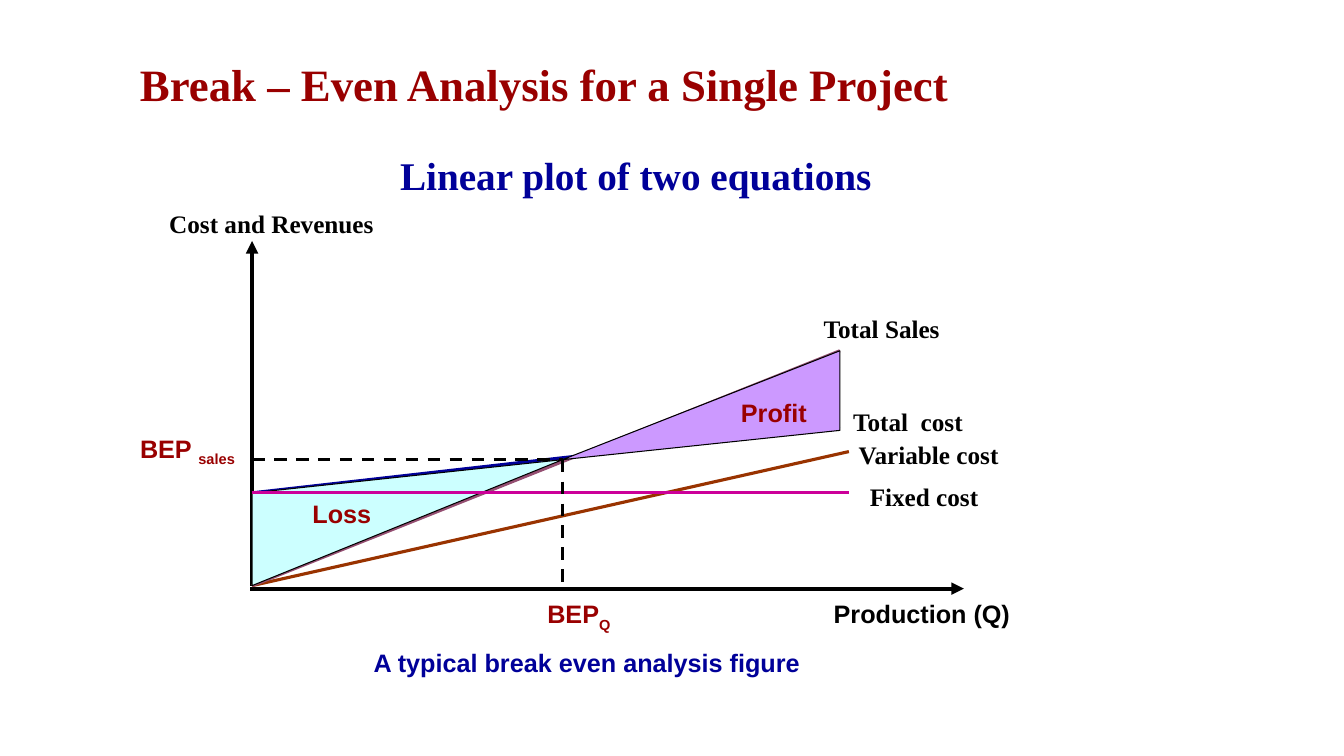
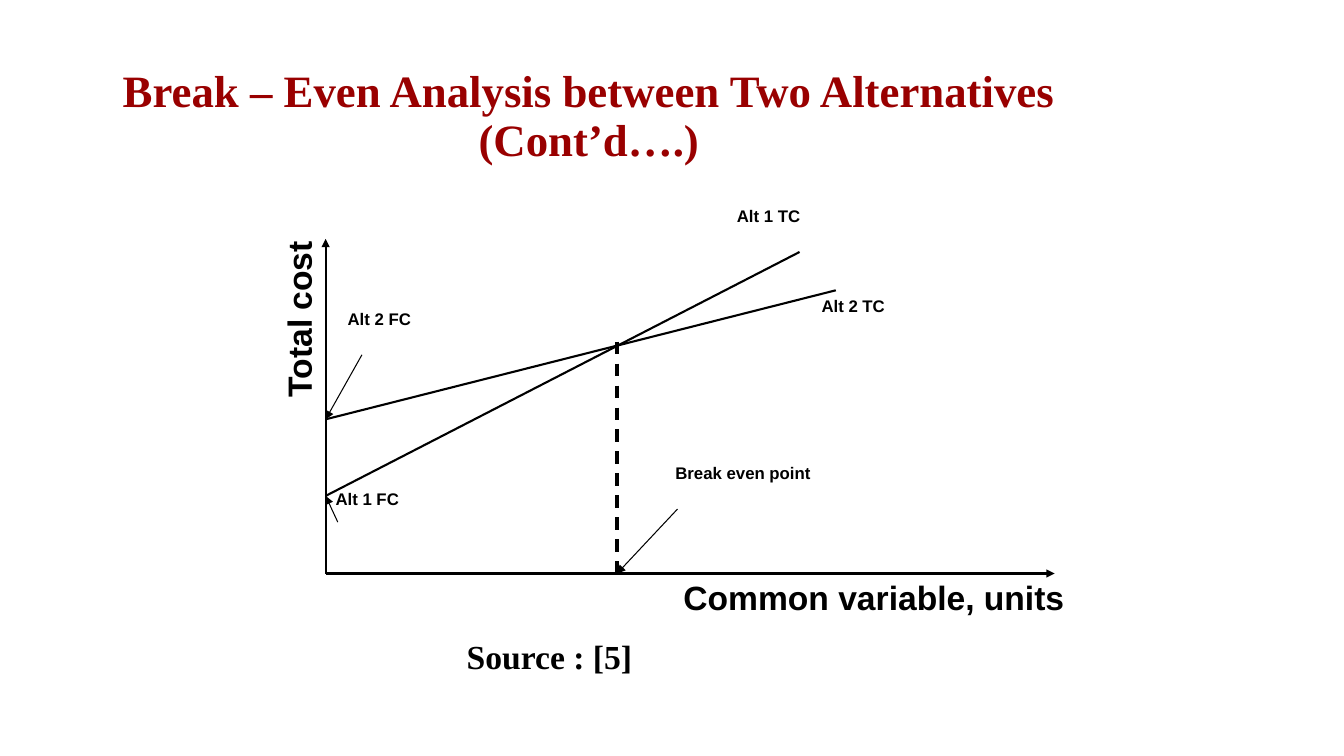
from lxml.etree import SubElement
from pptx import Presentation
from pptx.dml.color import RGBColor as Rgb
from pptx.enum.dml import MSO_LINE_DASH_STYLE as Dash
from pptx.enum.shapes import MSO_CONNECTOR as Link
from pptx.enum.text import MSO_ANCHOR as Anchor, PP_ALIGN as Align
from pptx.oxml.ns import qn
from pptx.util import Inches, Pt

COLORS = {
    "black": "000000", "red": "990000", "navy": "000099",
    "brown": "993300", "plum": "954F72", "pink": "CC0099",
    "aqua": "CCFFFF", "lilac": "CC99FF",
}
SERIF, SANS = "Times New Roman", "Arial"


def color(name):
    return Rgb.from_string(COLORS[name])


class Deck:
    def __init__(self):
        self.show = Presentation()
        self.show.slide_width = Inches(13.33)
        self.show.slide_height = Inches(7.5)

    def page(self):
        self.slide = self.show.slides.add_slide(self.show.slide_layouts[6])

    def text(self, words, left, top, width, size=18, face=SANS, ink="black",
             align=Align.LEFT, sub="", turn=0, height=None):
        """Add bold text, with an optional subscript; height follows size."""
        height = height or size / 60 + 0.1
        box = self.slide.shapes.add_textbox(
            Inches(left), Inches(top), Inches(width), Inches(height))
        box.rotation = turn
        frame = box.text_frame
        frame.word_wrap = True
        par = frame.paragraphs[0]
        par.alignment = align
        look = {"name": face, "size": Pt(size), "bold": True}
        for part in filter(None, (words, sub)):
            run = par.add_run()
            run.text = part
            for key, value in look.items():
                setattr(run.font, key, value)
            run.font.color.rgb = color(ink)
        if sub:
            run.font._element.set("baseline", "-25000")
        return frame

    def title(self, words, left, top, align=Align.LEFT):
        frame = self.text(words, left, top, 11.5, 32, SERIF, "red", align,
                          height=1.45)
        frame.vertical_anchor = Anchor.MIDDLE
        frame.paragraphs[0].line_spacing = 0.9

    def line(self, start, end, width=2.25, ink="black", dash=False, arrow=False):
        link = self.slide.shapes.add_connector(
            Link.STRAIGHT, *map(Inches, (*start, *end)))
        SubElement(link._element.spPr, qn("a:effectLst"))
        link.line.width = Pt(width)
        link.line.color.rgb = color(ink)
        if dash:
            link.line.dash_style = Dash.DASH
        if arrow:
            SubElement(link.line._get_or_add_ln(), qn("a:tailEnd"), type="triangle")

    def area(self, points, ink):
        first, *rest = [tuple(map(Inches, point)) for point in points]
        form = self.slide.shapes.build_freeform(*first)
        form.add_line_segments(rest, close=True)
        shape = form.convert_to_shape()
        shape.shadow.inherit = False
        shape.fill.solid()
        shape.fill.fore_color.rgb = color(ink)
        shape.line.color.rgb = color("black")
        shape.line.width = Pt(0.75)


def single(deck):
    deck.page()
    deck.title("Break – Even Analysis for a Single Project", 1.29, 0.14)
    deck.text("Linear plot of two equations", 3.87, 1.45, 6.33, 28, SERIF, "navy")

    zero, fixed, even = (2.5, 5.81), (2.5, 4.89), (5.58, 4.56)
    sales = (8.33, 3.48)
    deck.line(zero, (2.5, 2.39), 3, arrow=True)
    deck.line((2.48, 5.84), (9.56, 5.84), 3, arrow=True)
    for start, end, ink in (
        (zero, (8.42, 4.48), "brown"),
        (fixed, (8.33, 4.23), "navy"),
        (zero, sales, "plum"),
    ):
        deck.line(start, end, ink=ink)
    deck.area((fixed, zero, even), "aqua")
    deck.area((even, sales, (8.33, 4.27)), "lilac")
    deck.line(fixed, (8.42, 4.89), ink="pink")
    deck.line((2.5, 4.56), even, dash=True)
    deck.line(even, (5.58, 5.81), dash=True)

    deck.text("Cost and Revenues", 1.58, 2.02, 2.83, face=SERIF)
    deck.text("Production (Q)", 8.17, 5.89, 2.08)
    for words, left, top, width in (
        ("Fixed cost", 8.33, 4.73, 1.67),
        ("Variable cost", 8.25, 4.31, 1.92),
        ("Total  cost", 8.17, 3.98, 1.67),
        ("Total Sales", 7.83, 3.06, 1.83),
    ):
        deck.text(words, left, top, width, face=SERIF, align=Align.CENTER)
    for words, sub, left, top, width in (
        ("BEP", "Q", 5.33, 5.89, 1.17),
        ("BEP ", "sales", 1.29, 4.25, 1.29),
        ("Profit", "", 7.25, 3.89, 0.92),
        ("Loss", "", 3, 4.89, 0.92),
    ):
        deck.text(words, left, top, width, ink="red", sub=sub)
    deck.text("A typical break even analysis figure", 3.03, 6.37, 5.58,
              ink="navy", align=Align.CENTER)


def double(deck):
    deck.page()
    deck.title("Break – Even Analysis between Two Alternatives (Cont’d….)",
               0.09, 0.44, Align.CENTER)

    zero, first, second = (3.23, 5.69), (3.23, 4.92), (3.23, 4.16)
    even = (6.12, 5.69)
    deck.line(second, (8.29, 2.88), 1.5)
    deck.line(first, (7.93, 2.5), 1.5)
    for end in ((3.23, 2.37), (10.46, 5.69)):
        deck.line(zero, end, 1.5, arrow=True)
    deck.line((6.12, 3.39), even, dash=True)
    for start, end in (
        ((3.35, 5.18), first),
        ((3.59, 3.52), second),
        ((6.72, 5.05), even),
    ):
        deck.line(start, end, 0.75, arrow=True)

    deck.text("Total cost", 1.81, 2.64, 2.3, 24, turn=270)
    deck.text("Common variable, units", 6.68, 5.67, 4.74, 24)
    for words, left, top in (
        ("Alt 2 FC", 3.35, 3.01),
        ("Alt 1 FC", 3.23, 4.8),
        ("Alt 1 TC", 7.21, 1.99),
        ("Alt 2 TC", 8.05, 2.88),
        ("Break even point", 6.6, 4.54),
    ):
        deck.text(words, left, top, 1.93, 12)
    deck.text("Source : [5]", 4.53, 6.26, 6.58, 24, SERIF)


def main():
    deck = Deck()
    single(deck)
    double(deck)
    deck.show.save("out.pptx")


if __name__ == "__main__":
    main()
